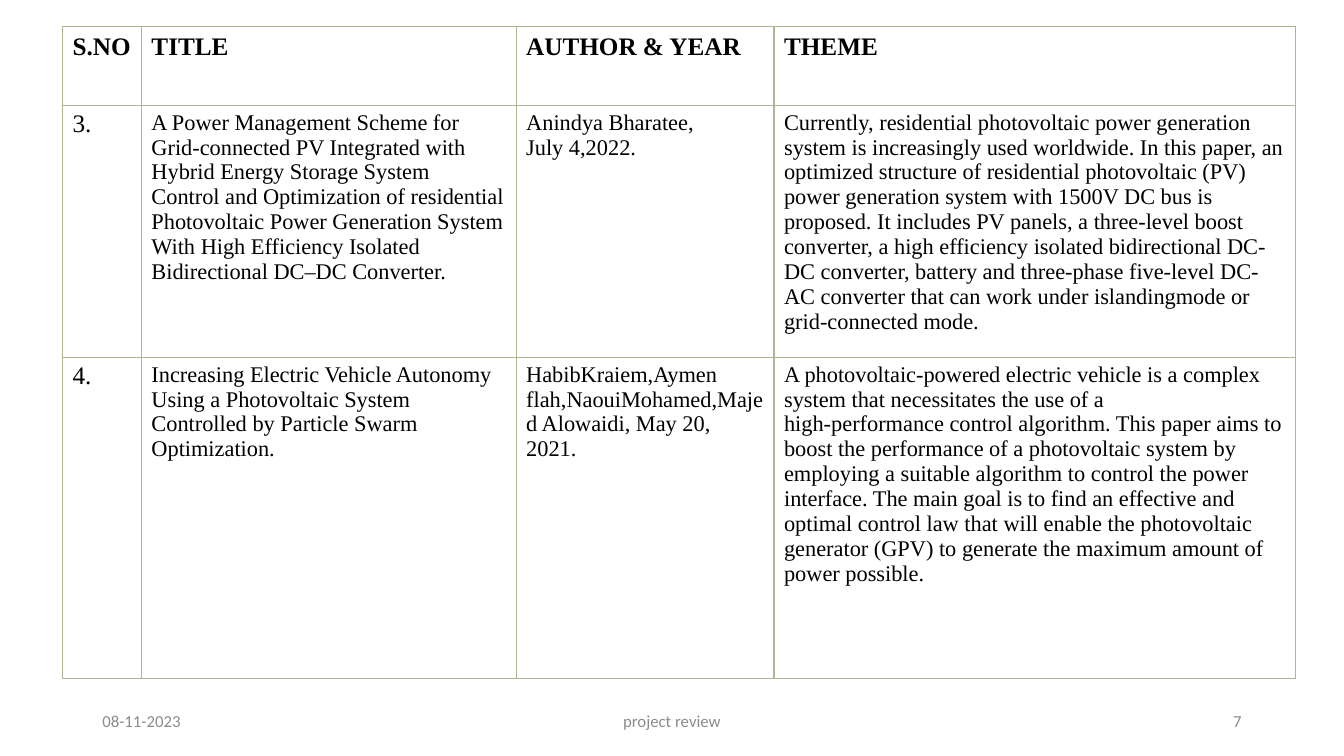
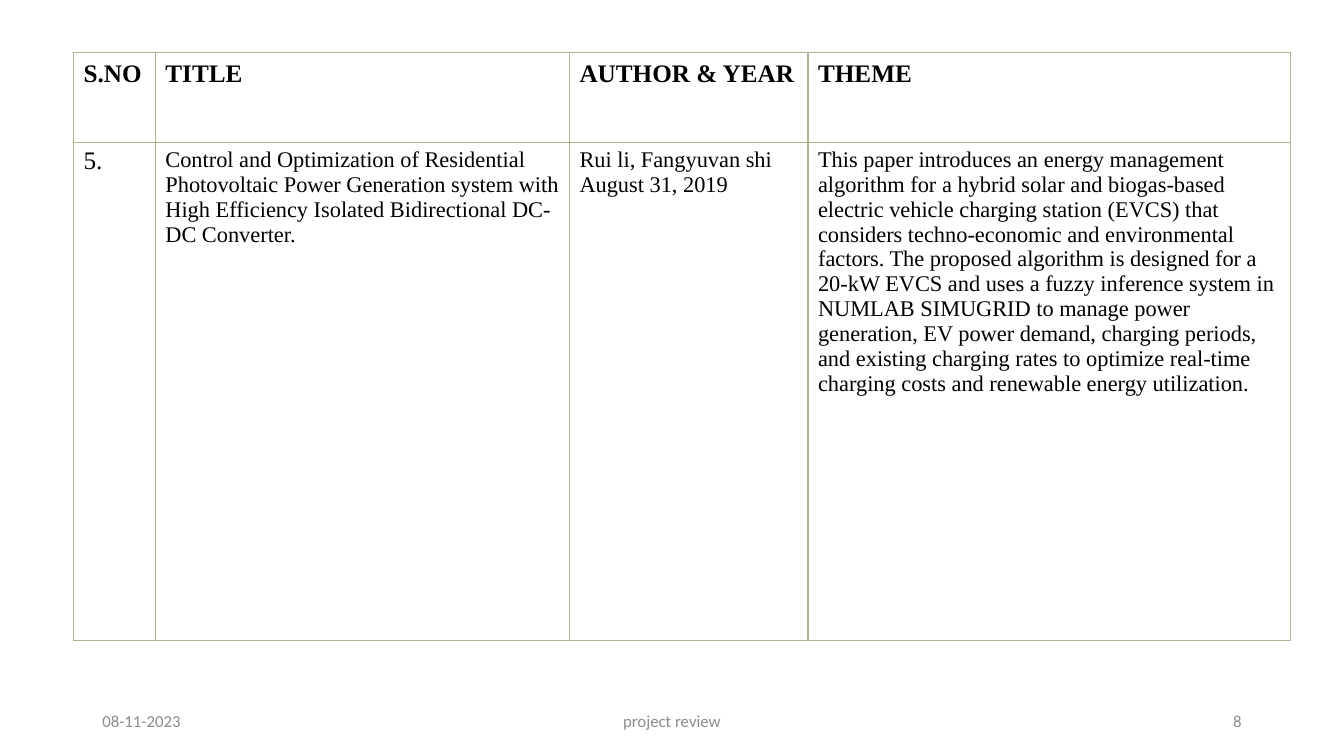
"""Build two literature survey slides, each with a paper table and a footer."""
from lxml.etree import SubElement
from pptx import Presentation
from pptx.dml.color import RGBColor
from pptx.enum.text import MSO_ANCHOR as Anchor, PP_ALIGN as Align
from pptx.oxml.ns import qn
from pptx.util import Pt

HEADINGS = ["S.NO", "TITLE", "AUTHOR & YEAR", "THEME"]

SURVEYS = [
    {
        "number": 7, "left": 44.7, "top": 18.9,
        "widths": [56.3, 267.7, 184.2, 372.3], "heights": [56.2, 180, 229.7],
        "papers": [
            [
                ["3."],
                ["A Power Management Scheme for Grid-connected PV Integrated with "
                 "Hybrid Energy Storage System",
                 "Control and Optimization of residential Photovoltaic Power Generation "
                 "System With High Efficiency Isolated Bidirectional DC–DC Converter."],
                ["Anindya Bharatee,", "July 4,2022."],
                ["Currently, residential photovoltaic power generation system is "
                 "increasingly used worldwide. In this paper, an optimized structure of "
                 "residential photovoltaic (PV) power generation system with 1500V DC bus "
                 "is proposed. It includes PV panels, a three-level boost converter, a "
                 "high efficiency isolated bidirectional DC-DC converter, battery and "
                 "three-phase five-level DC-AC converter that can work under "
                 "islandingmode or grid-connected mode."],
            ],
            [
                ["4."],
                ["Increasing Electric Vehicle Autonomy Using a Photovoltaic System "
                 "Controlled by Particle Swarm Optimization."],
                ["HabibKraiem,Aymen flah,NaouiMohamed,Majed Alowaidi, May 20, 2021."],
                ["A photovoltaic-powered electric vehicle is a complex system that "
                 "necessitates the use of a",
                 "high-performance control algorithm. This paper aims to boost the "
                 "performance of a photovoltaic system by employing a suitable algorithm "
                 "to control the power interface. The main goal is to find an effective "
                 "and optimal control law that will enable the photovoltaic generator "
                 "(GPV) to generate the maximum amount of power possible."],
            ],
        ],
    },
    {
        "number": 8, "left": 52.5, "top": 37.8,
        "widths": [58.5, 295.8, 170.4, 344.7], "heights": [63.9, 356],
        "papers": [
            [
                ["5."],
                ["Control and Optimization of Residential Photovoltaic Power Generation "
                 "system with High Efficiency Isolated Bidirectional DC-DC Converter."],
                ["Rui li, Fangyuvan shi", "August 31, 2019"],
                ["This paper introduces an energy management algorithm for a hybrid solar "
                 "and biogas-based",
                 "electric vehicle charging station (EVCS) that considers techno-economic "
                 "and environmental factors. The proposed algorithm is designed for a "
                 "20-kW EVCS and uses a fuzzy inference system in NUMLAB SIMUGRID to "
                 "manage power generation, EV power demand, charging periods, and "
                 "existing charging rates to optimize real-time charging costs and "
                 "renewable energy utilization."],
            ],
        ],
    },
]


def color(value):
    """Turn a hex string into a colour."""
    return RGBColor.from_string(value)


class Deck:
    """Hold the shared style and the current slide."""

    BORDER, INK, MUTED = "AFB591", "000000", "8C8C8C"
    TABLE_FONT, FOOTER_FONT = "Times New Roman", "Calibri"
    LARGE, BODY, SMALL = 18, 16, 12

    def __init__(self):
        """Start an empty widescreen presentation."""
        self.presentation = Presentation()
        self.presentation.slide_width = Pt(960)
        self.presentation.slide_height = Pt(540)
        self.slide = None

    def add_slide(self):
        """Add a blank slide and make it current."""
        self.slide = self.presentation.slides.add_slide(self.presentation.slide_layouts[6])

    def add_lines(self, frame, lines, font, size, ink, bold=False, align=Align.LEFT):
        """Add each line as a one-run paragraph."""
        frame.word_wrap = True
        for index, line in enumerate(lines):
            paragraph = frame.add_paragraph() if index else frame.paragraphs[0]
            paragraph.alignment = align
            run = paragraph.add_run()
            run.text = line
            run.font.name, run.font.size, run.font.bold = font, Pt(size), bold
            run.font.color.rgb = color(ink)

    def border(self, cell):
        """Draw a thin line on all four sides of a cell."""
        properties = cell._tc.get_or_add_tcPr()
        for side in ("a:lnL", "a:lnR", "a:lnT", "a:lnB"):
            line = SubElement(properties, qn(side), w=str(Pt(1)))
            fill = SubElement(line, qn("a:solidFill"))
            SubElement(fill, qn("a:srgbClr"), val=self.BORDER)

    def table(self, left, top, widths, heights, papers):
        """Add a table of papers below the shared headings."""
        rows = [[[heading] for heading in HEADINGS]] + papers
        table = self.slide.shapes.add_table(
            len(rows), len(widths), Pt(left), Pt(top), Pt(sum(widths)), Pt(sum(heights))
        ).table
        table.first_row = table.horz_banding = False
        for column, width in zip(table.columns, widths):
            column.width = Pt(width)
        for row_index, (row, height) in enumerate(zip(rows, heights)):
            table.rows[row_index].height = Pt(height)
            heading = row_index == 0
            for column_index, lines in enumerate(row):
                cell = table.cell(row_index, column_index)
                self.border(cell)
                cell.fill.background()
                cell.margin_left = cell.margin_right = Pt(7.2)
                cell.margin_top = cell.margin_bottom = Pt(5 if heading else 3.6)
                size = self.LARGE if heading or column_index == 0 else self.BODY
                align = Align.JUSTIFY if heading else Align.LEFT
                self.add_lines(cell.text_frame, lines, self.TABLE_FONT, size, self.INK, heading, align)

    def footer(self, number):
        """Add the date, the deck name and the slide number."""
        for text, left, width, align in (
            ("08-11-2023", 66, 216, Align.LEFT),
            ("project review", 318, 324, Align.CENTER),
            (str(number), 678, 216, Align.RIGHT),
        ):
            shape = self.slide.shapes.add_textbox(Pt(left), Pt(500.5), Pt(width), Pt(28.75))
            shape.text_frame.vertical_anchor = Anchor.MIDDLE
            self.add_lines(shape.text_frame, [text], self.FOOTER_FONT, self.SMALL, self.MUTED, align=align)


def main():
    """Build and save the survey slides."""
    deck = Deck()
    for survey in SURVEYS:
        deck.add_slide()
        deck.table(survey["left"], survey["top"], survey["widths"], survey["heights"], survey["papers"])
        deck.footer(survey["number"])
    deck.presentation.save("out.pptx")


if __name__ == "__main__":
    main()
